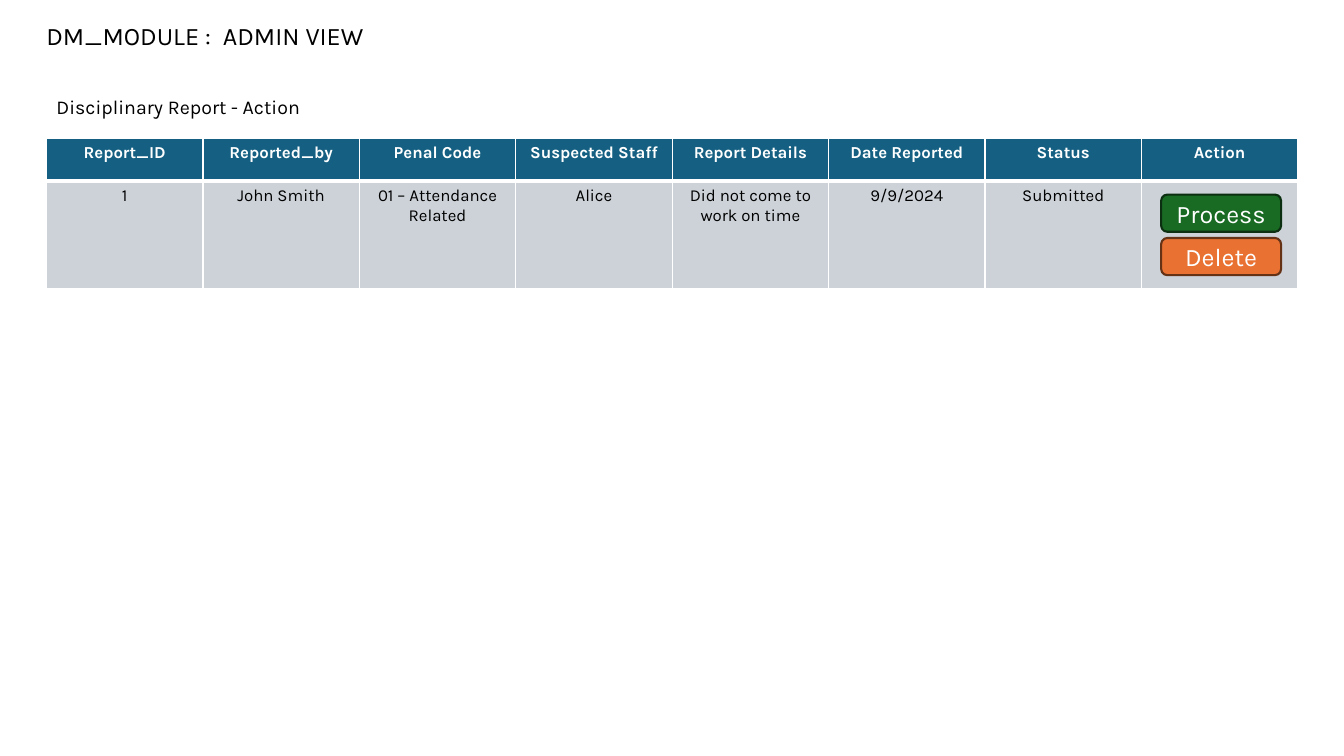
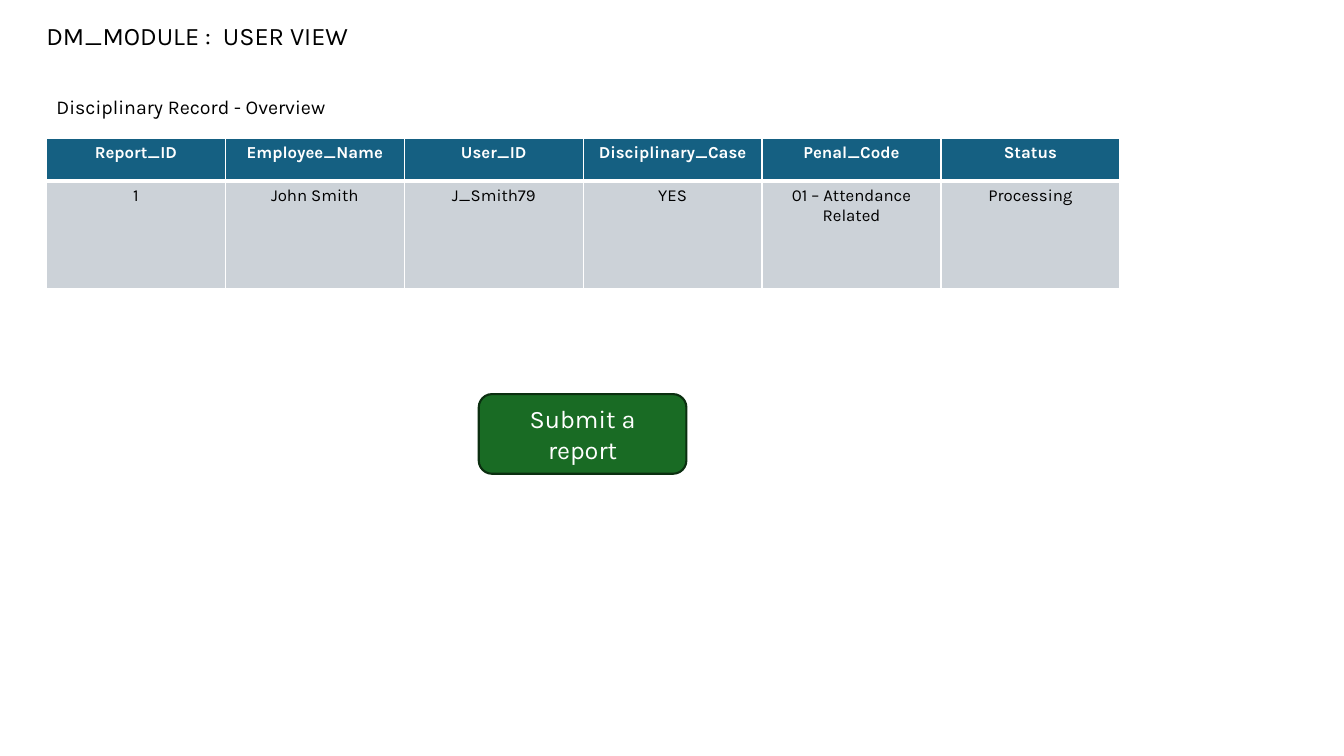
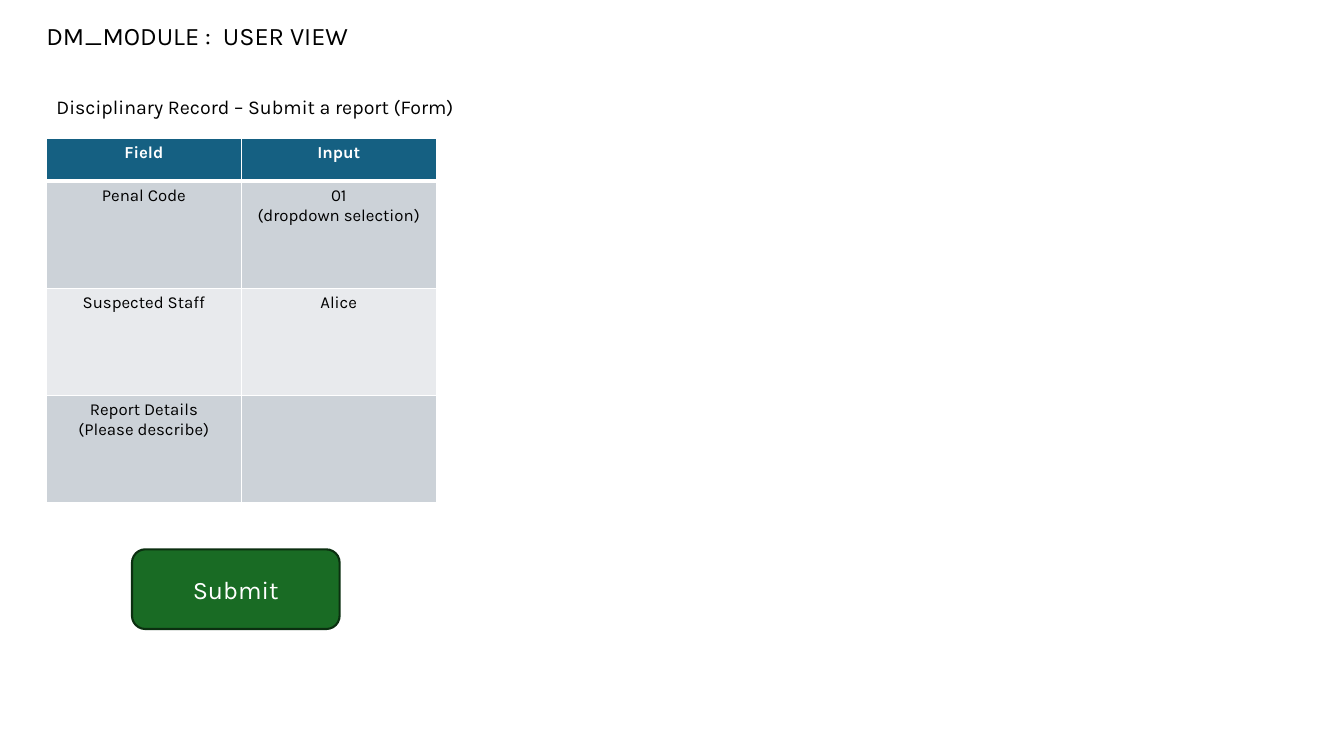
from dataclasses import dataclass

from lxml import etree
from pptx import Presentation
from pptx.dml.color import RGBColor
from pptx.enum.shapes import MSO_SHAPE
from pptx.enum.text import MSO_ANCHOR, MSO_AUTO_SIZE, PP_ALIGN
from pptx.oxml.ns import qn
from pptx.slide import Slide
from pptx.table import _Cell
from pptx.text.text import TextFrame
from pptx.util import Pt

ROUNDED = MSO_SHAPE.ROUNDED_RECTANGLE
TOP, MIDDLE = MSO_ANCHOR.TOP, MSO_ANCHOR.MIDDLE
LEFT, CENTER = PP_ALIGN.LEFT, PP_ALIGN.CENTER
NO_AUTOFIT = MSO_AUTO_SIZE.NONE

WHITE = RGBColor(0xFF, 0xFF, 0xFF)
BLACK = RGBColor(0x00, 0x00, 0x00)
HEADER_BLUE = RGBColor(0x15, 0x60, 0x82)
BAND_DARK = RGBColor(0xCC, 0xD2, 0xD8)
BAND_LIGHT = RGBColor(0xE8, 0xEA, 0xED)
GREEN = RGBColor(0x19, 0x6B, 0x24)
GREEN_EDGE = RGBColor(0x0B, 0x2F, 0x10)
ORANGE = RGBColor(0xE9, 0x71, 0x32)
ORANGE_EDGE = RGBColor(0x66, 0x32, 0x16)

FONT = "Karla"
TITLE_ONLY = 5
TABLE_LEFT, TABLE_TOP = 33.2, 98.6
HEADER_HEIGHT, ROW_HEIGHT = 30.7, 76.6
THIN, THICK = 1, 3
SMALL_BUTTON = (85.7, 26.6)
LARGE_BUTTON = (148.3, 56.9)


@dataclass(frozen=True)
class Button:
    label: str
    left: float
    top: float
    size: tuple[float, float] = LARGE_BUTTON
    fill: RGBColor = GREEN
    edge: RGBColor = GREEN_EDGE


@dataclass(frozen=True)
class View:
    title: str
    heading: str
    rows: list[list[str]]
    column_width: float
    buttons: list[Button]
    heading_width: float = 278.6


VIEWS = [
    View(
        "DM_MODULE :  ADMIN VIEW",
        "Disciplinary Report - Action",
        [
            ["Report_ID", "Reported_by", "Penal Code", "Suspected Staff",
             "Report Details", "Date Reported", "Status", "Action"],
            ["1", "John Smith", "01 – Attendance Related", "Alice",
             "Did not come to work on time", "9/9/2024", "Submitted", ""],
        ],
        111.75,
        [
            Button("Process", 829.4, 139, SMALL_BUTTON),
            Button("Delete", 829.4, 170, SMALL_BUTTON, ORANGE, ORANGE_EDGE),
        ],
    ),
    View(
        "DM_MODULE :  USER VIEW",
        "Disciplinary Record - Overview",
        [
            ["Report_ID", "Employee_Name", "User_ID", "Disciplinary_Case",
             "Penal_Code", "Status"],
            ["1", "John Smith", "J_Smith79", "YES",
             "01 – Attendance Related", "Processing"],
        ],
        127.8,
        [Button("Submit a report", 342, 281.5)],
    ),
    View(
        "DM_MODULE :  USER VIEW",
        "Disciplinary Record – Submit a report (Form)",
        [
            ["Field", "Input"],
            ["Penal Code", "01\n(dropdown selection)"],
            ["Suspected Staff", "Alice"],
            ["Report Details\n(Please describe)", ""],
        ],
        139.2,
        [Button("Submit", 94.3, 392.4)],
        heading_width=324.7,
    ),
]


def write(frame: TextFrame, text: str, size: float, color: RGBColor,
          align: PP_ALIGN = LEFT, bold: bool = False) -> None:
    frame.text = text
    for paragraph in frame.paragraphs:
        paragraph.alignment = align
        for run in paragraph.runs:
            run.font.name = FONT
            run.font.size = Pt(size)
            run.font.bold = bold
            run.font.color.rgb = color


def set_borders(cell: _Cell, top: float, bottom: float) -> None:
    """Give the cell white borders, placed before its fill as the schema asks."""
    properties = cell._tc.get_or_add_tcPr()
    widths = {"a:lnL": THIN, "a:lnR": THIN, "a:lnT": top, "a:lnB": bottom}
    for position, (tag, width) in enumerate(widths.items()):
        border = etree.Element(qn(tag), w=str(Pt(width)))
        fill = etree.SubElement(border, qn("a:solidFill"))
        etree.SubElement(fill, qn("a:srgbClr"), val=str(WHITE))
        properties.insert(position, border)


def add_title(slide: Slide, text: str) -> None:
    title = slide.shapes.title
    title.left, title.top = Pt(25.9), Pt(10.8)
    title.width, title.height = Pt(285), Pt(29)
    frame = title.text_frame
    frame.word_wrap = True
    frame.auto_size = NO_AUTOFIT
    frame.vertical_anchor = TOP
    write(frame, text, 18, BLACK)


def add_heading(slide: Slide, text: str, width: float) -> None:
    heading = slide.shapes.add_textbox(
        Pt(TABLE_LEFT), Pt(64.1), Pt(width), Pt(24.2))
    heading.text_frame.word_wrap = True
    write(heading.text_frame, text, 14, BLACK)


def add_records(slide: Slide, rows: list[list[str]], column_width: float) -> None:
    column_count = len(rows[0])
    height = HEADER_HEIGHT + ROW_HEIGHT * (len(rows) - 1)
    table = slide.shapes.add_table(
        len(rows), column_count, Pt(TABLE_LEFT), Pt(TABLE_TOP),
        Pt(column_width * column_count), Pt(height)).table
    for column in table.columns:
        column.width = Pt(column_width)
    for row_index, values in enumerate(rows):
        is_header = row_index == 0
        table.rows[row_index].height = Pt(HEADER_HEIGHT if is_header else ROW_HEIGHT)
        band = BAND_DARK if row_index % 2 else BAND_LIGHT
        for column_index, value in enumerate(values):
            cell = table.cell(row_index, column_index)
            cell.fill.solid()
            cell.fill.fore_color.rgb = HEADER_BLUE if is_header else band
            set_borders(cell, top=THICK if row_index == 1 else THIN,
                        bottom=THICK if is_header else THIN)
            write(cell.text_frame, value, 12, WHITE if is_header else BLACK,
                  CENTER, is_header)


def add_button(slide: Slide, button: Button) -> None:
    width, height = button.size
    shape = slide.shapes.add_shape(
        ROUNDED, Pt(button.left), Pt(button.top), Pt(width), Pt(height))
    shape.shadow.inherit = False
    shape.fill.solid()
    shape.fill.fore_color.rgb = button.fill
    shape.line.color.rgb = button.edge
    shape.line.width = Pt(1.5)
    shape.text_frame.word_wrap = True
    shape.text_frame.vertical_anchor = MIDDLE
    write(shape.text_frame, button.label, 18, WHITE, CENTER)


def main() -> None:
    deck = Presentation()
    deck.slide_width, deck.slide_height = Pt(960), Pt(540)
    for view in VIEWS:
        slide = deck.slides.add_slide(deck.slide_layouts[TITLE_ONLY])
        add_title(slide, view.title)
        add_records(slide, view.rows, view.column_width)
        add_heading(slide, view.heading, view.heading_width)
        for button in view.buttons:
            add_button(slide, button)
    deck.save("out.pptx")


if __name__ == "__main__":
    main()
